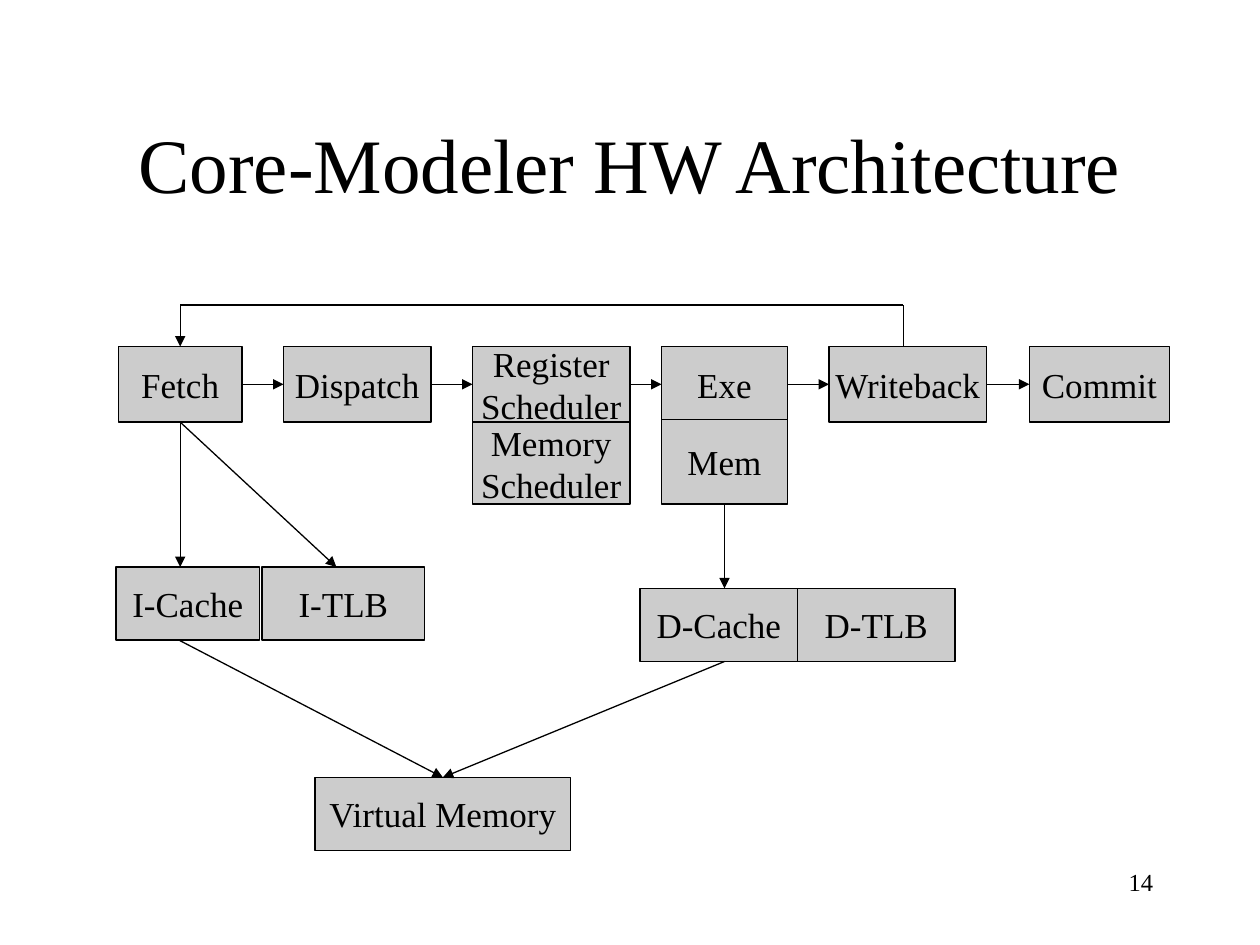
from lxml.etree import SubElement
from pptx import Presentation
from pptx.dml.color import RGBColor
from pptx.enum.shapes import MSO_CONNECTOR, MSO_SHAPE
from pptx.enum.text import MSO_ANCHOR, PP_ALIGN
from pptx.oxml.ns import qn
from pptx.util import Inches, Pt

COLORS = {"ink": "000000", "box": "CCCCCC"}
FONT = "Times New Roman"
TOP, LEFT, BOTTOM, RIGHT = range(4)


def color(name):
    return RGBColor.from_string(COLORS[name])


def write(frame, text, size=20, align=PP_ALIGN.CENTER,
          anchor=MSO_ANCHOR.MIDDLE, wrap=True):
    frame.word_wrap = wrap
    frame.vertical_anchor = anchor
    frame.text = text
    for para in frame.paragraphs:
        para.alignment = align
        font = para.runs[0].font
        font.name, font.size = FONT, Pt(size)
        font.color.rgb = color("ink")


def add_box(slide, text, x, y, w, h):
    box = slide.shapes.add_shape(
        MSO_SHAPE.ROUNDED_RECTANGLE,
        Inches(x), Inches(y), Inches(w), Inches(h))
    box.adjustments[0] = 0
    box.shadow.inherit = False
    box.fill.solid()
    box.fill.fore_color.rgb = color("box")
    box.line.color.rgb = color("ink")
    box.line.width = Pt(0.75)
    write(box.text_frame, text, wrap=False)
    return box


def add_link(slide, start, end, head=True):
    """Each end is an (x, y) point in inches or a (box, side) pair."""
    line = slide.shapes.add_connector(MSO_CONNECTOR.STRAIGHT, 0, 0, 0, 0)
    if isinstance(start[0], (int, float)):
        line.begin_x, line.begin_y = map(Inches, start)
    else:
        line.begin_connect(*start)
    if isinstance(end[0], (int, float)):
        line.end_x, line.end_y = map(Inches, end)
    else:
        line.end_connect(*end)
    line.line.color.rgb = color("ink")
    line.line.width = Pt(0.75)
    if head:
        SubElement(line.line._get_or_add_ln(), qn("a:tailEnd"), type="triangle")
    SubElement(line._element.spPr, qn("a:effectLst"))


def add_title(slide, text, x, y, w, h):
    title = slide.shapes.title
    title.left, title.top = Inches(x), Inches(y)
    title.width, title.height = Inches(w), Inches(h)
    write(title.text_frame, text, size=44)


def add_number(slide, text, x, y, w, h):
    box = slide.shapes.add_textbox(Inches(x), Inches(y), Inches(w), Inches(h))
    write(box.text_frame, text, size=14, align=PP_ALIGN.RIGHT,
          anchor=MSO_ANCHOR.TOP)


def add_stages(slide, y, h):
    """Pipeline row, with the feedback line above it."""
    row = [
        ("Fetch", 0.94, 0.98), ("Dispatch", 2.25, 1.17),
        ("Register\nScheduler", 3.75, 1.25), ("Exe", 5.25, 1),
        ("Writeback", 6.58, 1.25), ("Commit", 8.17, 1.11),
    ]
    boxes = [add_box(slide, text, x, y, w, h) for text, x, w in row]
    for prior, after in zip(boxes, boxes[1:]):
        add_link(slide, (prior, RIGHT), (after, LEFT))

    # Feedback from Writeback to Fetch
    near, far, rail = 1.43, 7.17, y - 0.33
    add_link(slide, (far, y), (far, rail), head=False)
    add_link(slide, (far, rail), (near, rail), head=False)
    add_link(slide, (near, rail), (boxes[0], TOP))
    return boxes[0]


def add_memory(slide, fetch, x, y, h=0.58):
    """Memory units below the row, with x and y at the top left cache."""
    add_box(slide, "Memory\nScheduler", 3.75, 3.35, 1.25, 0.65)
    mem = add_box(slide, "Mem", 5.25, 3.33, 1, 0.67)
    add_box(slide, "I-Cache", x, y, 1.14, h)
    add_box(slide, "I-TLB", x + 1.16, y, 1.29, h)
    low = y + 0.17
    add_box(slide, "D-Cache", 5.08, low, 1.25, h)
    add_box(slide, "D-TLB", 6.33, low, 1.25, h)
    store = add_box(slide, "Virtual Memory", 2.5, 6.17, 2.03, h)

    # Accesses from the pipeline, then from the caches
    add_link(slide, (fetch, BOTTOM), (1.43, y))
    add_link(slide, (fetch, BOTTOM), (2.67, y))
    add_link(slide, (mem, BOTTOM), (5.75, low))
    add_link(slide, (1.42, y + h), (store, TOP))
    add_link(slide, (5.75, low + h), (store, TOP))


def main():
    deck = Presentation()
    deck.slide_width, deck.slide_height = Inches(10), Inches(7.5)
    slide = deck.slides.add_slide(deck.slide_layouts[5])
    add_title(slide, "Core-Modeler HW Architecture", 0.75, 0.67, 8.5, 1.25)
    fetch = add_stages(slide, 2.75, 0.6)
    add_memory(slide, fetch, 0.92, 4.5)
    add_number(slide, "14", 7.17, 6.83, 2.08, 0.5)
    deck.save("out.pptx")


if __name__ == "__main__":
    main()
